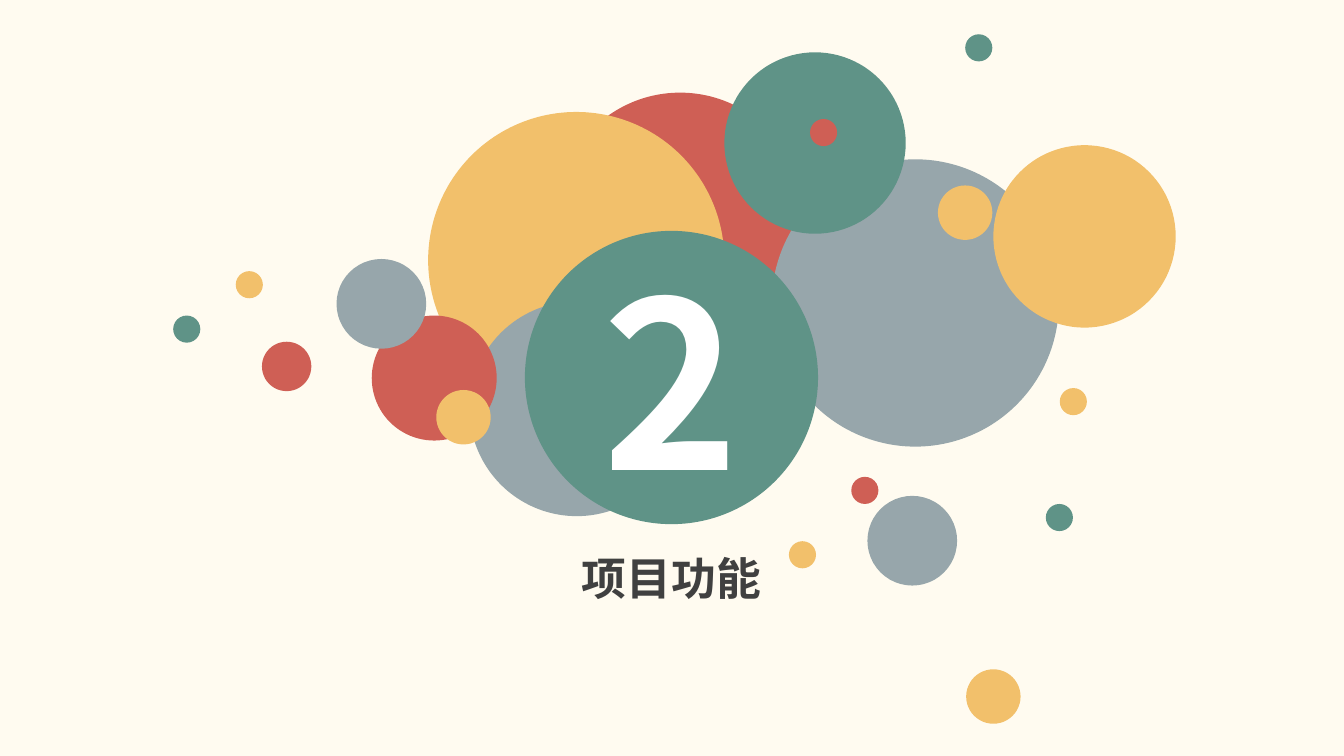
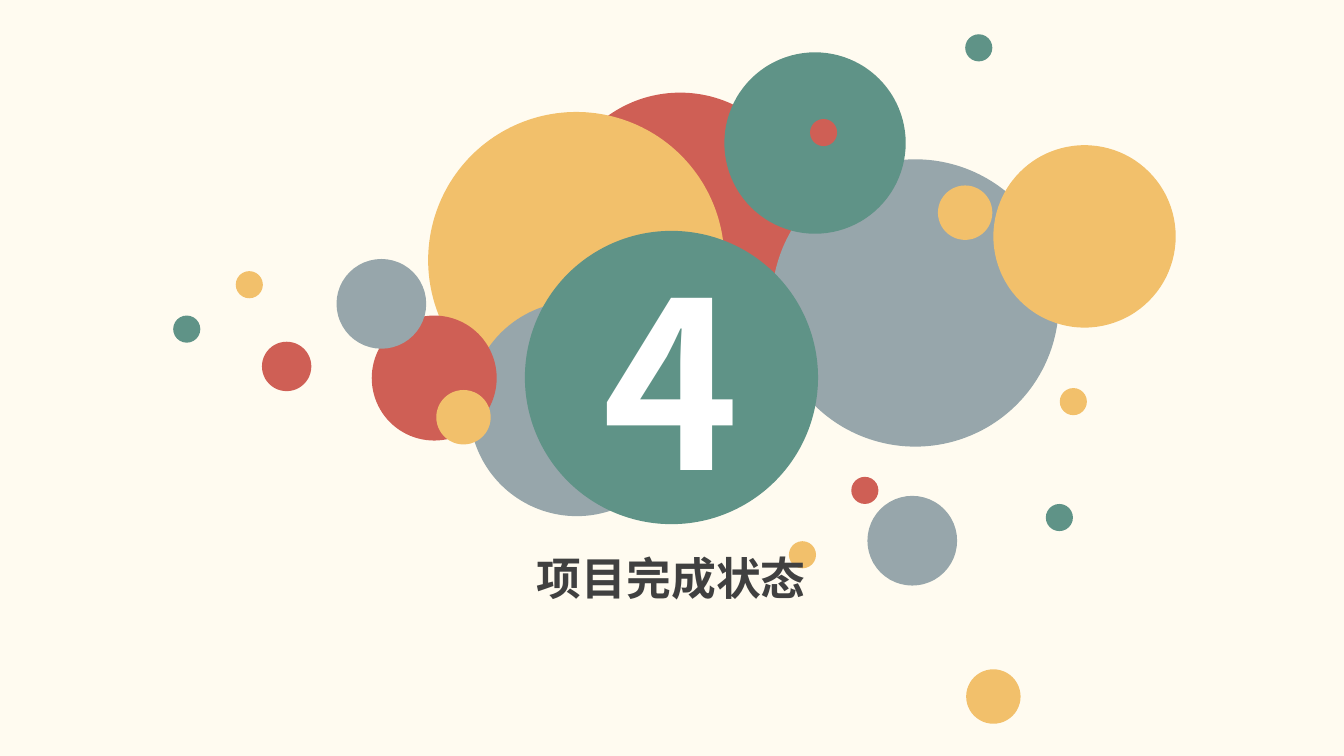
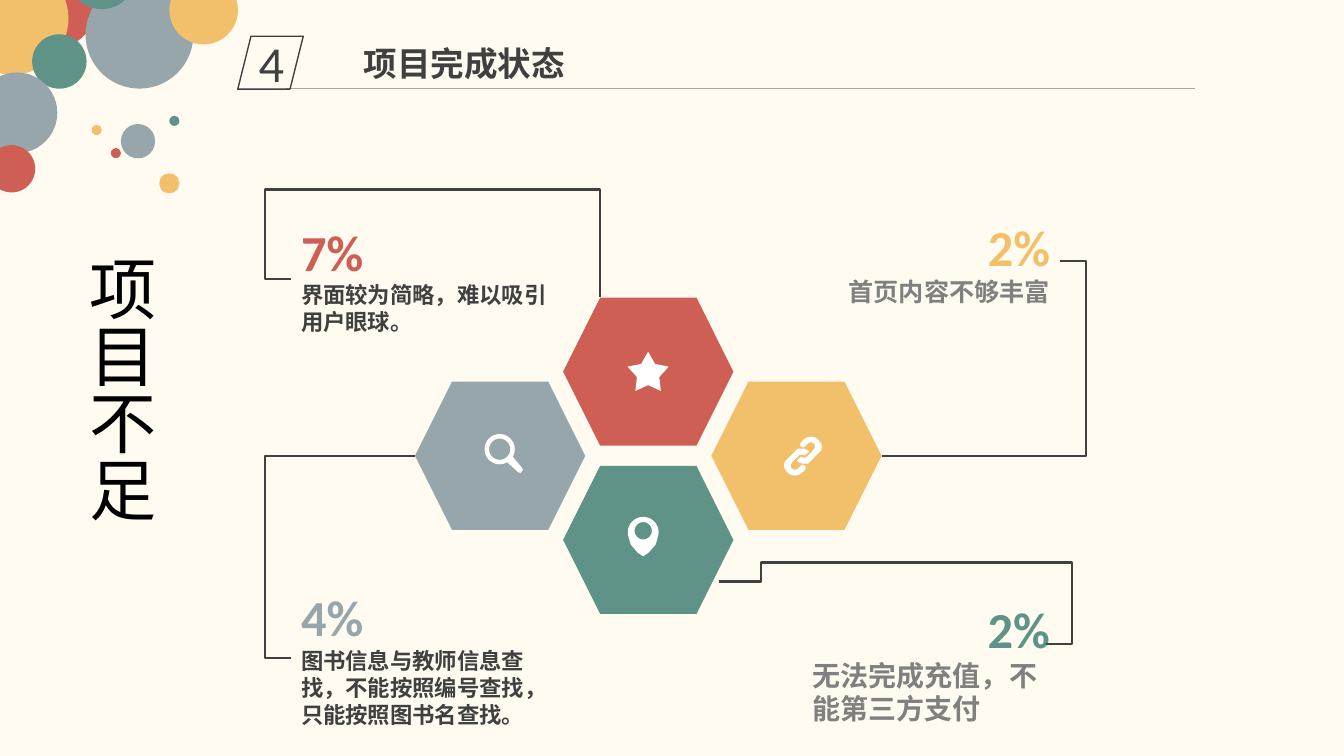
from dataclasses import dataclass
from math import cos, radians, sin

from lxml import etree
from pptx import Presentation
from pptx.dml.color import RGBColor
from pptx.enum.shapes import MSO_CONNECTOR, MSO_SHAPE
from pptx.enum.text import MSO_ANCHOR, MSO_AUTO_SIZE, PP_ALIGN
from pptx.oxml.ns import qn
from pptx.util import Pt

ELLIPSE, HEXAGON, SLANT = MSO_SHAPE.OVAL, MSO_SHAPE.HEXAGON, MSO_SHAPE.PARALLELOGRAM
STRAIGHT, ELBOW = MSO_CONNECTOR.STRAIGHT, MSO_CONNECTOR.ELBOW
LEFT, CENTER, RIGHT = PP_ALIGN.LEFT, PP_ALIGN.CENTER, PP_ALIGN.RIGHT
MIDDLE = MSO_ANCHOR.MIDDLE
GROW = MSO_AUTO_SIZE.SHAPE_TO_FIT_TEXT


@dataclass(frozen=True)
class Theme:
    cream: str = "FFFBF0"
    red: str = "CF5F55"
    yellow: str = "F2C06B"
    gray: str = "97A6AB"
    green: str = "5F9387"
    white: str = "FFFFFF"
    dark: str = "404040"
    muted: str = "808080"
    rule: str = "A6A6A6"
    black: str = "000000"
    latin: str = "Calibri"
    chinese: str = "Noto Sans CJK SC"
    numeral: int = 166
    side_title: int = 48
    figure: int = 36
    section: int = 32
    heading: int = 24
    note_large: int = 20
    note_medium: int = 18
    note: int = 16


T = Theme()
SLIDE_SIZE = (960.5, 540)

SECTIONS = [("2", "项目功能"), ("4", "项目完成状态")]
HERO_CIRCLES = [
    (397.5, 66.2, 177.1, T.red), (306, 80, 211.7, T.yellow),
    (335.5, 215.3, 153.4, T.gray), (551.5, 113.8, 205.2, T.gray),
    (517.7, 37.4, 129.6, T.green), (265.7, 225.4, 89.3, T.red),
    (619.9, 354.2, 64.1, T.gray), (608.4, 340.6, 19.4, T.red),
    (563.8, 386.6, 19.4, T.yellow), (747.4, 360, 19.4, T.green),
    (690.5, 478.1, 38.9, T.yellow), (709.9, 103.7, 130.3, T.yellow),
    (240.5, 185, 64.1, T.gray), (187.2, 244.1, 35.3, T.red),
    (168.5, 193.7, 19.4, T.yellow), (123.8, 225.4, 19.4, T.green),
    (311.8, 278.6, 38.9, T.yellow), (578.9, 85, 19.4, T.red),
    (757.4, 277.2, 19.4, T.yellow), (689.8, 24.5, 19.4, T.green),
    (670.3, 132.5, 38.9, T.yellow),
]
NUMERAL_CIRCLE = (375.1, 164.9, 209.5, T.green)
CORNER_CIRCLES = [
    (2.9, -31.7, 67, T.red), (-31, -26.6, 79.9, T.yellow),
    (23, 24.5, 38.9, T.green), (-16.6, 51.8, 57.6, T.gray),
    (61.2, -13.7, 77, T.gray), (48.2, -42.5, 49, T.green),
    (-8.6, 103.7, 33.8, T.red), (86.4, 88.6, 24.5, T.gray),
    (79.2, 105.8, 7.2, T.red), (65.5, 89.3, 7.2, T.yellow),
    (121, 82.8, 7.2, T.green), (113.8, 123.8, 14.4, T.yellow),
    (121, -17.3, 49, T.yellow),
]

SIDE_TITLE = "项目不足"
HEX_CENTER, HEX_STEP, HEX_SIZE = (463.3, 325.6), (105.9, 60.1), (121.7, 105.8)
HEXAGONS = [(0, -1, T.red), (0, 1, T.green), (-1, 0, T.gray), (1, 0, T.yellow)]
SHORTCOMINGS = [
    ((589, 150.5, 168.5, 72.7), "2%", T.yellow, RIGHT,
     "首页内容不够丰富", T.note_medium, T.muted, RIGHT),
    ((573.8, 423.4, 183.6, 99.4), "2%", T.green, RIGHT,
     "无法完成充值，不能第三方支付", T.note_large, T.muted, LEFT),
    ((208.1, 415.4, 182.2, 108.7), "4%", T.gray, LEFT,
     "图书信息与教师信息查找，不能按照编号查找，只能按照图书名查找。",
     T.note, T.dark, LEFT),
    ((208.1, 154.1, 192.2, 89.3), "7%", T.red, LEFT,
     "界面较为简略，难以吸引用户眼球。", T.note, T.dark, LEFT),
]
LEADERS = [
    ((208.1, 199, 429.1, 212.4), (189.4, 135.4)),
    ((630, 325.6, 757.4, 186.5), (776.2,)),
    ((514.1, 415.4, 747.4, 460.1), (544.3, 401.8, 766.1)),
    ((208.1, 470.2, 296.6, 325.6), (189.4,)),
]
HALF_LINK = [
    (-0.7, -5.4), (0.7, -5.4), (2.2, -4.7), (3.6, -4), (4.3, -3.2), (1.4, -0.4),
    (0, -1.1), (-1.4, -1.1), (-2.9, -0.4), (-7.9, 4.7), (-8.6, 6.1), (-8.6, 7.6),
    (-7.9, 9), (-6.5, 9.7), (-5, 9.7), (-3.6, 9), (-1.4, 6.8), (0, 6.1),
    (1.4, 6.8), (2.2, 8.3), (1.4, 9.7), (-0.7, 11.9), (-2.9, 13.3), (-5.8, 14),
    (-8.6, 13.3), (-10.8, 11.9), (-13, 9), (-13.7, 6.8), (-13, 4), (-10.8, 1.8),
    (-5.8, -3.2), (-3.6, -5.4),
]


def arc(radius, start=0, sweep=360, steps=32, rise=0):
    angles = [radians(start + sweep * i / steps) for i in range(steps + 1)]
    return [(radius * cos(a), radius * sin(a) - rise) for a in angles]


def star(outer, inner):
    radii = (outer, inner)
    angles = [radians(36 * i - 90) for i in range(10)]
    return [(radii[i % 2] * cos(a), radii[i % 2] * sin(a)) for i, a in enumerate(angles)]


HANDLE = [(15.9, 13.2), (16.6, 14.7), (15.1, 16.9), (13.4, 16.6)]
PIN_TIP = [(9, 8.6), (4, 14.4), (0, 17.2), (-4, 14.4), (-9, 8.6)]
ICONS = [
    ((357.1, 320.9), [arc(7.6), arc(10.8, 60, 330) + HANDLE]),
    ((573.8, 325.8), [HALF_LINK, [(-x, -y) for x, y in HALF_LINK]]),
    ((459.7, 380.2), [arc(6.2, rise=1.1), arc(11, 160, 220) + PIN_TIP]),
    ((463.2, 266.7), [star(15.5, 8.4)]),
]


def points(values):
    return [Pt(value) for value in values]


def paint(shape, fill=None, line=None, width=1):
    shape.shadow.inherit = False
    if fill:
        shape.fill.solid()
        shape.fill.fore_color.rgb = RGBColor.from_string(fill)
    else:
        shape.fill.background()
    if line:
        shape.line.color.rgb = RGBColor.from_string(line)
        shape.line.width = Pt(width)
    else:
        shape.line.fill.background()
    return shape


def add_circle(shapes, x, y, size, color):
    return paint(shapes.add_shape(ELLIPSE, *points((x, y, size, size))), color)


def write(para, text, size, color, latin=T.chinese, bold=True, align=LEFT):
    para.alignment = align
    span = para.add_run()
    span.text = text
    span.font.size = Pt(size)
    span.font.bold = bold
    span.font.name = latin
    span.font.color.rgb = RGBColor.from_string(color)
    east_asian = etree.SubElement(span.font._element, qn("a:ea"))
    east_asian.set("typeface", T.chinese)


def add_text_box(page, frame):
    box = page.shapes.add_textbox(*points(frame))
    box.text_frame.word_wrap = True
    box.text_frame.auto_size = GROW
    return box


def add_line(page, ends, color, width, bends=()):
    kind = ELBOW if bends else STRAIGHT
    line = page.shapes.add_connector(kind, *points(ends))
    line.line.color.rgb = RGBColor.from_string(color)
    line.line.width = Pt(width)
    properties = line.element.spPr
    etree.SubElement(properties, qn("a:effectLst"))
    if bends:
        geometry = properties.find(qn("a:prstGeom"))
        geometry.set("prst", f"bentConnector{len(bends) + 2}")
        guides = geometry.find(qn("a:avLst"))
        for i, bend in enumerate(bends):
            start, end = ends[i % 2], ends[i % 2 + 2]
            ratio = round((bend - start) / (end - start) * 100000)
            guide = etree.SubElement(guides, qn("a:gd"))
            guide.set("name", f"adj{i + 1}")
            guide.set("fmla", f"val {ratio}")


def add_icon(page, center, outlines):
    builder = None
    for outline in outlines:
        first, *rest = [points((center[0] + x, center[1] + y)) for x, y in outline]
        if builder is None:
            builder = page.shapes.build_freeform(*first, scale=1.0)
        else:
            builder.move_to(*first)
        builder.add_line_segments(rest, close=True)
    paint(builder.convert_to_shape(), T.white)


def add_section_page(deck, number, title):
    page = deck.slides.add_slide(deck.slide_layouts[6])
    for circle in HERO_CIRCLES:
        add_circle(page.shapes, *circle)
    badge = add_circle(page.shapes, *NUMERAL_CIRCLE)
    badge.text_frame.vertical_anchor = MIDDLE
    write(badge.text_frame.paragraphs[0], number, T.numeral, T.white, align=CENTER)
    box = add_text_box(page, (262.8, 390.2, 434.2, 46.1))
    write(box.text_frame.paragraphs[0], title, T.section, T.dark, align=CENTER)


def add_header(page, number, title):
    corner = page.shapes.add_group_shape()
    for circle in CORNER_CIRCLES:
        add_circle(corner.shapes, *circle)
    add_line(page, (204.5, 63.4, 853.9, 63.4), T.rule, 0.5)
    tag = page.shapes.add_shape(SLANT, *points((169.9, 25.9, 46.8, 37.8)))
    paint(tag, line=T.dark)
    tag.text_frame.vertical_anchor = MIDDLE
    write(tag.text_frame.paragraphs[0], number, T.figure, T.dark, T.latin, False, CENTER)
    box = add_text_box(page, (252.7, 27.4, 369.4, 36))
    write(box.text_frame.paragraphs[0], title, T.heading, T.dark)


def add_shortcomings_page(deck, number, title):
    page = deck.slides.add_slide(deck.slide_layouts[6])
    width, height = HEX_SIZE
    for column, row, color in HEXAGONS:
        x = HEX_CENTER[0] + column * HEX_STEP[0] - width / 2
        y = HEX_CENTER[1] + row * HEX_STEP[1] - height / 2
        paint(page.shapes.add_shape(HEXAGON, *points((x, y, width, height))), color)
    for center, outlines in ICONS:
        add_icon(page, center, outlines)
    for frame, figure, color, align, note, size, note_color, note_align in SHORTCOMINGS:
        text = add_text_box(page, frame).text_frame
        write(text.paragraphs[0], figure, T.figure, color, T.latin, align=align)
        write(text.add_paragraph(), note, size, note_color, T.latin, align=note_align)
    for ends, bends in LEADERS:
        add_line(page, ends, T.dark, 1.5, bends)
    add_header(page, number, title)
    side = add_text_box(page, (46.1, 175, 72.7, 257))
    side.text_frame._txBody.bodyPr.set("vert", "eaVert")
    write(side.text_frame.paragraphs[0], SIDE_TITLE, T.side_title, T.black, T.latin, False)


deck = Presentation()
deck.slide_width, deck.slide_height = points(SLIDE_SIZE)
backdrop = deck.slide_master.background.fill
backdrop.solid()
backdrop.fore_color.rgb = RGBColor.from_string(T.cream)
for section in SECTIONS:
    add_section_page(deck, *section)
add_shortcomings_page(deck, *SECTIONS[-1])
deck.save("out.pptx")
